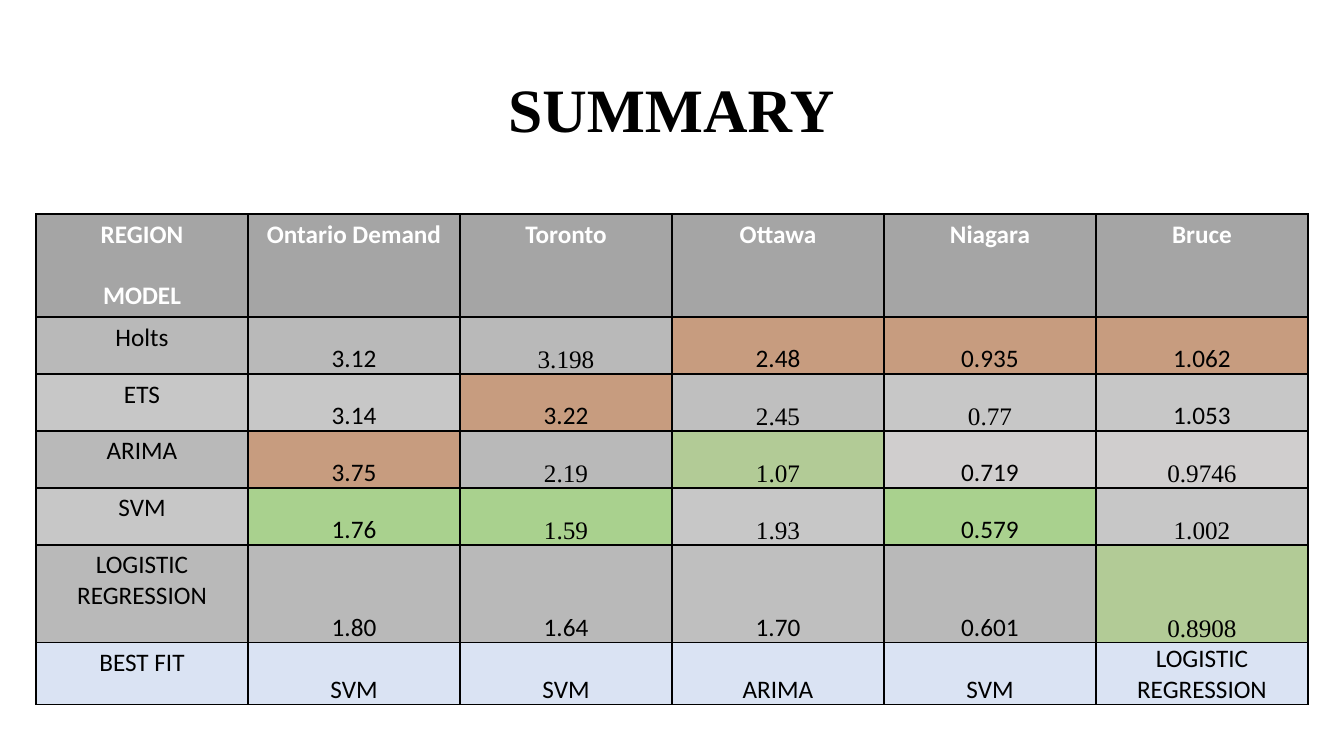
from lxml.etree import SubElement
from pptx import Presentation
from pptx.dml.color import RGBColor
from pptx.enum.text import MSO_ANCHOR as ANCHOR, PP_ALIGN as ALIGN
from pptx.oxml.ns import qn
from pptx.util import Emu, Pt

SCALE = 914400 / 100.8
SANS, SERIF = "Calibri", "Times New Roman"

BLACK = RGBColor(0x00, 0x00, 0x00)
WHITE = RGBColor(0xFF, 0xFF, 0xFF)
HEADER = RGBColor(0xA5, 0xA5, 0xA5)
DARK_BAND = RGBColor(0xB9, 0xB9, 0xB9)
LIGHT_BAND = RGBColor(0xC7, 0xC7, 0xC7)
GREY = RGBColor(0xBF, 0xBF, 0xBF)
PALE = RGBColor(0xD0, 0xCE, 0xCE)
WORST = RGBColor(0xC7, 0x9C, 0x7F)
BEST = RGBColor(0xA9, 0xD1, 0x8E)
BEST_SOFT = RGBColor(0xB2, 0xCB, 0x96)
BLUE = RGBColor(0xDA, 0xE3, 0xF3)

FILLS = {"H": HEADER, "D": DARK_BAND, "L": LIGHT_BAND, "G": GREY, "P": PALE,
         "W": WORST, "B": BEST, "S": BEST_SOFT, "F": BLUE}
FONTS = {"c": SANS, "t": SERIF}

# Height in px, fill key per cell, font key per cell, texts
ROWS = [
    (103, "HHHHHH", "cccccc",
     ["REGION\nMODEL", "Ontario Demand", "Toronto", "Ottawa", "Niagara", "Bruce"]),
    (57, "DDDWWW", "cctccc", ["Holts", "3.12", "3.198", "2.48", "0.935", "1.062"]),
    (57, "LLWGLL", "cccttc", ["ETS", "3.14", "3.22", "2.45", "0.77", "1.053"]),
    (57, "DWDSPP", "ccttct", ["ARIMA", "3.75", "2.19", "1.07", "0.719", "0.9746"]),
    (57, "LBBLBL", "ccttct", ["SVM", "1.76", "1.59", "1.93", "0.579", "1.002"]),
    (98, "DDDGDS", "ccccct",
     ["LOGISTIC REGRESSION", "1.80", "1.64", "1.70", "0.601", "0.8908"]),
    (62, "FFFFFF", "cccccc",
     ["BEST FIT", "SVM", "SVM", "ARIMA", "SVM", "LOGISTIC REGRESSION"]),
]
COL_WIDTH = 212


def px(n):
    return Emu(round(n * SCALE))


def style(p, font, size, color, bold):
    p.alignment = ALIGN.CENTER
    p.font.name, p.font.size = font, Pt(size)
    p.font.color.rgb, p.font.bold = color, bold


def add_title(s, text):
    tf = s.shapes.add_textbox(px(92), px(40), px(1159), px(146)).text_frame
    tf.word_wrap = True
    tf.vertical_anchor = ANCHOR.MIDDLE
    p = tf.paragraphs[0]
    p.text = text
    p.line_spacing = 0.9
    style(p, SERIF, 44, BLACK, True)


def add_borders(cell):
    """Draw thin black lines on all four sides; call before filling the cell."""
    tc_pr = cell._tc.get_or_add_tcPr()
    for side in ("a:lnL", "a:lnR", "a:lnT", "a:lnB"):
        ln = SubElement(tc_pr, qn(side), w=str(Pt(1)))
        SubElement(SubElement(ln, qn("a:solidFill")), qn("a:srgbClr"), val=str(BLACK))


def fill_cell(cell, text, fill, font, is_header, is_value):
    add_borders(cell)
    cell.fill.solid()
    cell.fill.fore_color.rgb = fill
    if is_value:
        cell.vertical_anchor = ANCHOR.BOTTOM
        cell.margin_left = cell.margin_right = cell.margin_top = px(1)
        cell.margin_bottom = 0
    cell.text_frame.text = text
    for i, p in enumerate(cell.text_frame.paragraphs):
        style(p, font, 18, WHITE if is_header else BLACK, is_header)
        if i:
            p.space_before = Pt(22)


def add_summary_table(s):
    cols = len(ROWS[0][3])
    height = sum(row[0] for row in ROWS)
    table = s.shapes.add_table(len(ROWS), cols, px(36), px(214),
                               px(cols * COL_WIDTH), px(height)).table
    for col in table.columns:
        col.width = px(COL_WIDTH)
    for r, (row_height, fills, fonts, texts) in enumerate(ROWS):
        table.rows[r].height = px(row_height)
        for c, (fill, font, text) in enumerate(zip(fills, fonts, texts)):
            fill_cell(table.cell(r, c), text, FILLS[fill], FONTS[font],
                      is_header=r == 0, is_value=r > 0 and c > 0)


def main():
    prs = Presentation()
    prs.slide_width, prs.slide_height = px(1344), px(756)
    s = prs.slides.add_slide(prs.slide_layouts[6])
    add_title(s, "SUMMARY")
    add_summary_table(s)
    prs.save("out.pptx")


if __name__ == "__main__":
    main()
